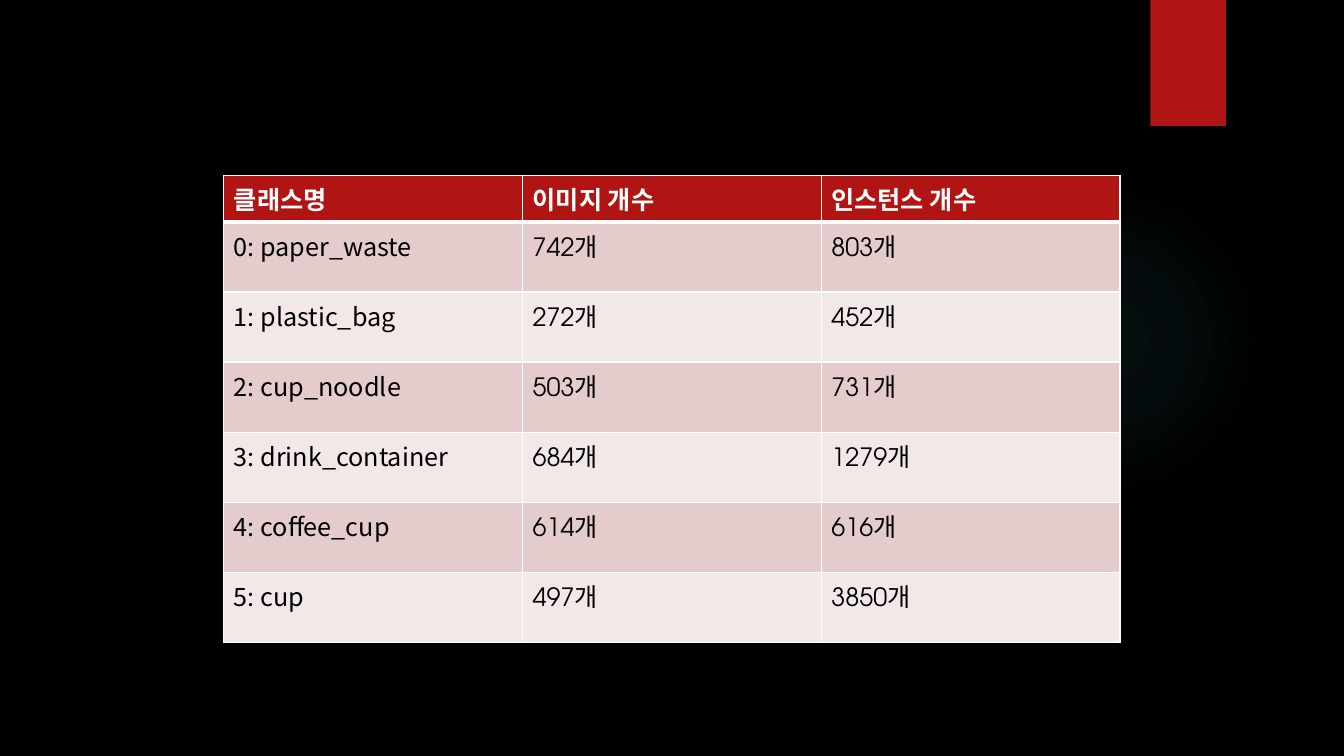
from lxml.etree import SubElement
from pptx import Presentation
from pptx.dml.color import RGBColor
from pptx.enum.shapes import MSO_SHAPE
from pptx.oxml import parse_xml
from pptx.oxml.ns import nsdecls, qn
from pptx.util import Inches, Pt

COLORS = {
    "background": "000000",
    "red": "B01513",
    "glow": "50B9C1",
    "odd": "E4CCCC",
    "even": "F2E8E7",
    "white": "FFFFFF",
    "black": "000000",
}
LATIN, KOREAN = "TeX Gyre Adventor", "Noto Sans CJK KR"
HEADINGS = ("클래스명", "이미지 개수", "인스턴스 개수")
CLASSES = (
    ("paper_waste", 742, 803),
    ("plastic_bag", 272, 452),
    ("cup_noodle", 503, 731),
    ("drink_container", 684, 1279),
    ("coffee_cup", 614, 616),
    ("cup", 497, 3850),
)


class SlideBuilder:
    """Holds the colours and the current slide, and adds its elements."""

    def __init__(self, deck, colors):
        self.colors = colors
        self.slide = deck.slides.add_slide(deck.slide_layouts[6])
        self.paint(self.slide.background.fill, "background")

    def rgb(self, color):
        return RGBColor.from_string(self.colors[color])

    def paint(self, fill, color):
        fill.solid()
        fill.fore_color.rgb = self.rgb(color)

    def shape(self, kind, left, top, width, height, color):
        shape = self.slide.shapes.add_shape(
            kind, Inches(left), Inches(top), Inches(width), Inches(height))
        shape.shadow.inherit = False
        self.paint(shape.fill, color)
        shape.line.fill.background()
        return shape

    def glow(self, left, top, size, color, stops):
        circle = self.shape(MSO_SHAPE.OVAL, left, top, size, size, color)
        marks = "".join(
            f'<a:gs pos="{place * 1000}"><a:srgbClr val="{self.colors[color]}">'
            f'<a:alpha val="{alpha * 1000}"/></a:srgbClr></a:gs>'
            for place, alpha in stops)
        gradient = parse_xml(
            f'<a:gradFill {nsdecls("a")}><a:gsLst>{marks}</a:gsLst>'
            '<a:path path="circle"><a:fillToRect l="50000" t="50000" '
            'r="50000" b="50000"/></a:path></a:gradFill>')
        properties = circle.fill._xPr
        properties.replace(properties.find(qn("a:solidFill")), gradient)

    def borders(self, cell, widths):
        properties = cell._tc.get_or_add_tcPr()
        for side, width in widths.items():
            line = SubElement(properties, qn(f"a:ln{side}"), w=str(Pt(width)))
            fill = SubElement(line, qn("a:solidFill"))
            SubElement(fill, qn("a:srgbClr"), val=self.colors["white"])

    def cell(self, cell, text, fill, color, widths, **style):
        self.borders(cell, widths)
        self.paint(cell.fill, fill)
        span = cell.text_frame.paragraphs[0].add_run()
        span.text = text
        span.font.color.rgb = self.rgb(color)
        for name, value in style.items():
            setattr(span.font, name, value)
        SubElement(span.font._element, qn("a:ea"), typeface=KOREAN)

    def table(self, left, top, width, header_height, body_height, rows):
        height = header_height + body_height
        table = self.slide.shapes.add_table(
            len(rows), len(rows[0]), Inches(left), Inches(top),
            Inches(width), Inches(height)).table
        row_height = body_height / (len(rows) - 1)
        for index, texts in enumerate(rows):
            header = index == 0
            table.rows[index].height = Inches(header_height if header else row_height)
            fill = "red" if header else "odd" if index % 2 else "even"
            widths = {"L": 1, "R": 1, "T": 3 if index == 1 else 1, "B": 3 if header else 1}
            for column, text in enumerate(texts):
                font = KOREAN if column == 0 and not header else LATIN
                self.cell(table.cell(index, column), text, fill,
                          "white" if header else "black", widths,
                          size=Pt(18), bold=header, name=font)


def main():
    deck = Presentation()
    deck.slide_width, deck.slide_height = Inches(13.33), Inches(7.5)
    page = SlideBuilder(deck, COLORS)
    page.glow(9.41, 1.83, 3.08, "glow", ((0, 7), (36, 6), (69, 0)))
    page.shape(MSO_SHAPE.RECTANGLE, 11.41, 0, 0.75, 1.25, "red")
    rows = [HEADINGS] + [
        (f"{number}: {name}", f"{images}개", f"{instances}개")
        for number, (name, images, instances) in enumerate(CLASSES)]
    page.table(2.22, 1.74, 8.89, 0.46, 4.17, rows)
    deck.save("out.pptx")


if __name__ == "__main__":
    main()
